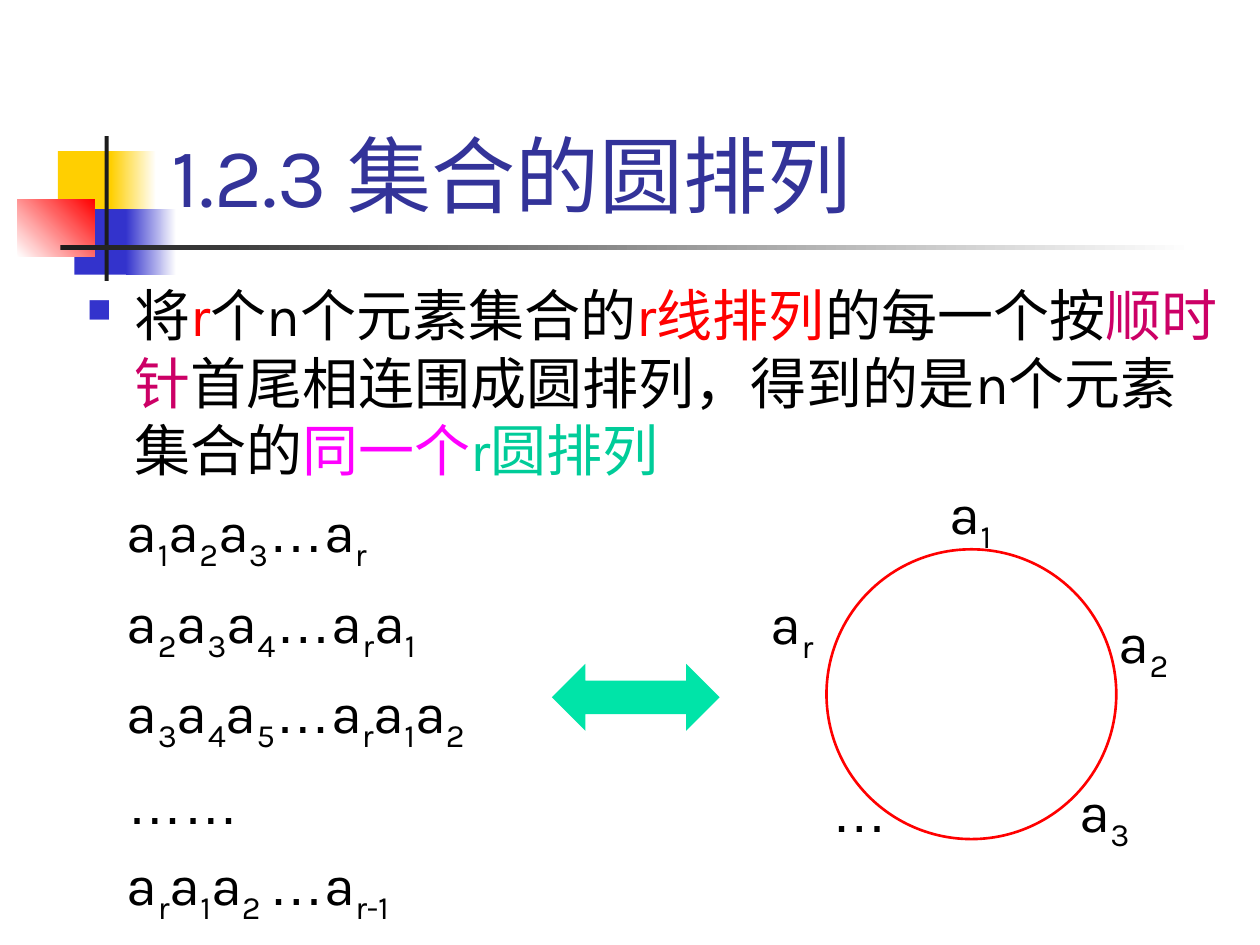
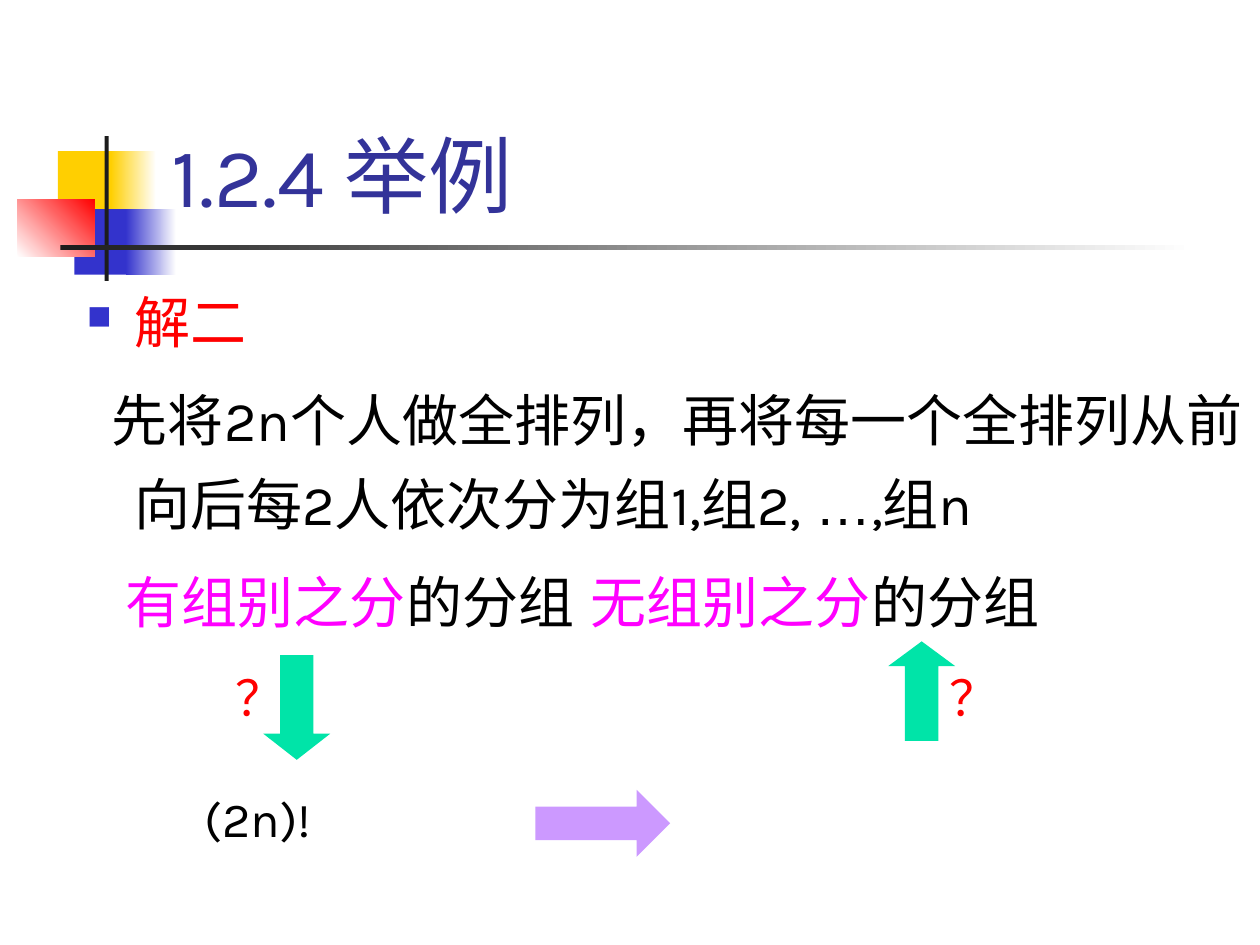
"""Two lecture slides on circular permutations and grouping."""
from dataclasses import dataclass
from typing import Optional

from lxml import etree
from pptx import Presentation
from pptx.dml.color import RGBColor
from pptx.enum.shapes import MSO_SHAPE
from pptx.enum.text import MSO_ANCHOR, MSO_AUTO_SIZE, PP_ALIGN
from pptx.oxml.ns import qn
from pptx.util import Pt

RECT, OVAL = MSO_SHAPE.RECTANGLE, MSO_SHAPE.OVAL
BOTH, RIGHT = MSO_SHAPE.LEFT_RIGHT_ARROW, MSO_SHAPE.RIGHT_ARROW
UP, DOWN = MSO_SHAPE.UP_ARROW, MSO_SHAPE.DOWN_ARROW
LEFT, BOTTOM, FIXED = PP_ALIGN.LEFT, MSO_ANCHOR.BOTTOM, MSO_AUTO_SIZE.NONE

BLACK = RGBColor(0x00, 0x00, 0x00)
WHITE = RGBColor(0xFF, 0xFF, 0xFF)
INK = RGBColor(0x1C, 0x1C, 0x1C)
RED = RGBColor(0xFF, 0x00, 0x00)
GOLD = RGBColor(0xFF, 0xCF, 0x01)
BLUE = RGBColor(0x33, 0x33, 0xCC)
NAVY = RGBColor(0x33, 0x33, 0x99)
ROSE = RGBColor(0xCC, 0x00, 0x66)
PINK = RGBColor(0xFF, 0x00, 0xFF)
TEAL = RGBColor(0x00, 0xCC, 0x99)
MINT = RGBColor(0x00, 0xE4, 0xA8)
LILAC = RGBColor(0xCC, 0x99, 0xFF)

FONT, DOTS = "Karla", "Arial"
HANG = 27  # hanging indent of the body text


@dataclass
class Box:
    """A place on the slide, in points."""
    x: float
    y: float
    w: float
    h: float

    def args(self) -> list:
        """Return left, top, width and height as lengths."""
        return [Pt(v) for v in (self.x, self.y, self.w, self.h)]


@dataclass
class Run:
    """A piece of text in one format."""
    text: str
    color: RGBColor = BLACK
    font: str = FONT
    sub: bool = False


@dataclass
class Para:
    """A paragraph: its runs, spacing and indents."""
    runs: list
    size: float = 32
    before: float = 0
    lead: Optional[float] = None
    left: float = 0
    first: float = 0
    bullet: bool = False
    tab: Optional[float] = None


@dataclass
class Block:
    """A decorative bar; start and end colours differ in a gradient."""
    box: Box
    start: RGBColor
    end: Optional[RGBColor] = None
    angle: float = 0


@dataclass
class Arrow:
    """A block arrow with the depth of its head."""
    kind: MSO_SHAPE
    box: Box
    head: float
    color: RGBColor = MINT


DECOR = [
    Block(Box(33.12, 86.4, 34.56, 37.44), GOLD),
    Block(Box(63.36, 86.4, 25.92, 37.44), GOLD, WHITE),
    Block(Box(42.48, 119.52, 33.12, 37.44), BLUE),
    Block(Box(72, 119.52, 28.8, 37.44), BLUE, WHITE),
    Block(Box(10.08, 113.76, 43.92, 33.12), WHITE, RED, 45),
    Block(Box(59.76, 77.76, 2.4, 82.8), INK),
    Block(Box(34.56, 140.2, 648, 2.4), INK, WHITE),
]
HEAD = Box(90.72, 16.56, 613.44, 115.2)


def mark(props, tag: str, **attrs: str):
    """Append a drawing element to paragraph properties."""
    return etree.SubElement(props, qn("a:" + tag), attrs)


def write(par, text: str, *, size: float, color: RGBColor = BLACK,
          font: str = FONT, sub: bool = False) -> None:
    """Add a formatted run to a paragraph."""
    run = par.add_run()
    run.text = text
    run.font.size = Pt(size)
    run.font.name = font
    run.font.color.rgb = color
    if sub:
        run.font._element.set("baseline", "-25000")


def fill_para(par, item: Para) -> None:
    """Set the layout of a paragraph and write its runs."""
    par.alignment = LEFT
    par.space_before = Pt(item.before)
    if item.lead:
        par.line_spacing = item.lead
    props = par._p.get_or_add_pPr()
    props.set("marL", str(Pt(item.left)))
    props.set("indent", str(Pt(item.first)))
    if item.bullet:
        mark(mark(props, "buClr"), "srgbClr", val=str(BLUE))
        mark(props, "buSzPct", val="60000")
        mark(props, "buChar", char="■")
    else:
        mark(props, "buNone")
    if item.tab:
        mark(mark(props, "tabLst"), "tab", pos=str(Pt(item.tab)), algn="l")
    for run in item.runs:
        write(par, run.text, size=item.size, color=run.color,
              font=run.font, sub=run.sub)


def add_text(slide, box: Box, items: list) -> None:
    """Add a text box that holds the given paragraphs."""
    frame = slide.shapes.add_textbox(*box.args()).text_frame
    frame.word_wrap = True
    for i, item in enumerate(items):
        par = frame.add_paragraph() if i else frame.paragraphs[0]
        fill_para(par, item)


def add_block(slide, block: Block) -> None:
    """Draw one plain or gradient bar."""
    shape = slide.shapes.add_shape(RECT, *block.box.args())
    shape.shadow.inherit = False
    shape.line.fill.background()
    if block.end is None:
        shape.fill.solid()
        shape.fill.fore_color.rgb = block.start
        return
    shape.fill.gradient()
    shape.fill.gradient_angle = block.angle
    for stop, color in zip(shape.fill.gradient_stops, (block.start, block.end)):
        stop.color.rgb = color


def add_arrow(slide, arrow: Arrow) -> None:
    """Draw one block arrow."""
    shape = slide.shapes.add_shape(arrow.kind, *arrow.box.args())
    shape.shadow.inherit = False
    shape.adjustments[0] = 0.5
    shape.adjustments[1] = arrow.head
    shape.fill.solid()
    shape.fill.fore_color.rgb = arrow.color
    shape.line.fill.background()


def add_ring(slide, box: Box) -> None:
    """Draw the red circle."""
    ring = slide.shapes.add_shape(OVAL, *box.args())
    ring.shadow.inherit = False
    ring.fill.background()
    ring.line.color.rgb = RED
    ring.line.width = Pt(1.5)


def add_page(deck, title: str):
    """Add a slide with the shared decoration and title style."""
    slide = deck.slides.add_slide(deck.slide_layouts[5])
    for block in DECOR:
        add_block(slide, block)
    head = slide.shapes.title
    head.left, head.top, head.width, head.height = HEAD.args()
    frame = head.text_frame
    frame.auto_size = FIXED
    frame.vertical_anchor = BOTTOM
    fill_para(frame.paragraphs[0], Para([Run(title, NAVY)], 48))
    return slide


def terms(*subs: str) -> list:
    """Return a sequence of a's with subscripts; dots stay as dots."""
    runs = []
    for sub in subs:
        if sub.startswith("…"):
            runs.append(Run(sub, font=DOTS))
        else:
            runs += [Run("a"), Run(sub, sub=True)]
    return runs


def ring_page(deck) -> None:
    """Build the slide on circular permutations."""
    slide = add_page(deck, "1.2.3 集合的圆排列")
    rule = [
        Run("将"), Run("r", RED), Run("个n个元素集合的"), Run("r线排列", RED),
        Run("的每一个按"), Run("顺时针", ROSE),
        Run("首尾相连围成圆排列，得到的是n个元素集合的"),
        Run("同一个", PINK), Run("r圆排列", TEAL),
    ]
    rows = [
        ("1", "2", "3", "…", "r"),
        ("2", "3", "4", "…", "r", "1"),
        ("3", "4", "5", "…", "r", "1", "2"),
        ("……",),
        ("r", "1", "2 ", "…", "r-1"),
    ]
    items = [Para(rule, before=8, left=HANG, first=-HANG, bullet=True)]
    items += [Para(terms(*row), before=8, left=23) for row in rows]
    add_text(slide, Box(42.48, 157, 663.12, 380), items)

    add_ring(slide, Box(472.32, 313.92, 165.6, 165.6))
    labels = [("1", 535.7, 270), ("2", 632.2, 343.4), ("3", 609.8, 440),
              ("r", 433.4, 332.6), ("…", 468, 440)]
    for sub, x, y in labels:
        add_text(slide, Box(x, y, 72, 51), [Para(terms(sub))])
    add_arrow(slide, Arrow(BOTH, Box(315.4, 379.4, 95.8, 38.2), 0.5))


def group_page(deck) -> None:
    """Build the slide on splitting people into groups."""
    slide = add_page(deck, "1.2.4 举例")
    steps = [
        Run("先将2n个人做全排列，再将每一个全排列从前向后每2人依次分为组1,组2, "),
        Run("…", font=DOTS), Run(",组n"),
    ]
    kinds = [Run("有组别之分", PINK), Run("的分组\t"),
             Run("无组别之分", PINK), Run("的分组")]
    add_text(slide, Box(42.48, 151.2, 677.52, 388.8), [
        Para([Run("解二", RED)], before=8, lead=1.25, left=HANG,
             first=-HANG, bullet=True),
        Para(steps, before=8, lead=1.25, left=HANG, first=-12.6),
        Para(kinds, before=8, lead=1.25, first=22.3, tab=334.8),
        Para([Run("(2n)!")], size=28, before=88, left=67.5),
    ])
    for arrow in (
        Arrow(DOWN, Box(150.5, 374.4, 38.2, 59.8), 0.39),
        Arrow(RIGHT, Box(306, 451.4, 77, 38.2), 0.5, LILAC),
        Arrow(UP, Box(507.6, 366.5, 38.2, 56.9), 0.37),
    ):
        add_arrow(slide, arrow)
    for x in (127.4, 535.7):
        add_text(slide, Box(x, 378, 73, 41), [Para([Run("？", RED)], size=28)])


def main() -> None:
    """Build and save the deck."""
    deck = Presentation()
    deck.slide_width, deck.slide_height = Pt(720), Pt(540)
    ring_page(deck)
    group_page(deck)
    deck.save("out.pptx")


main()
